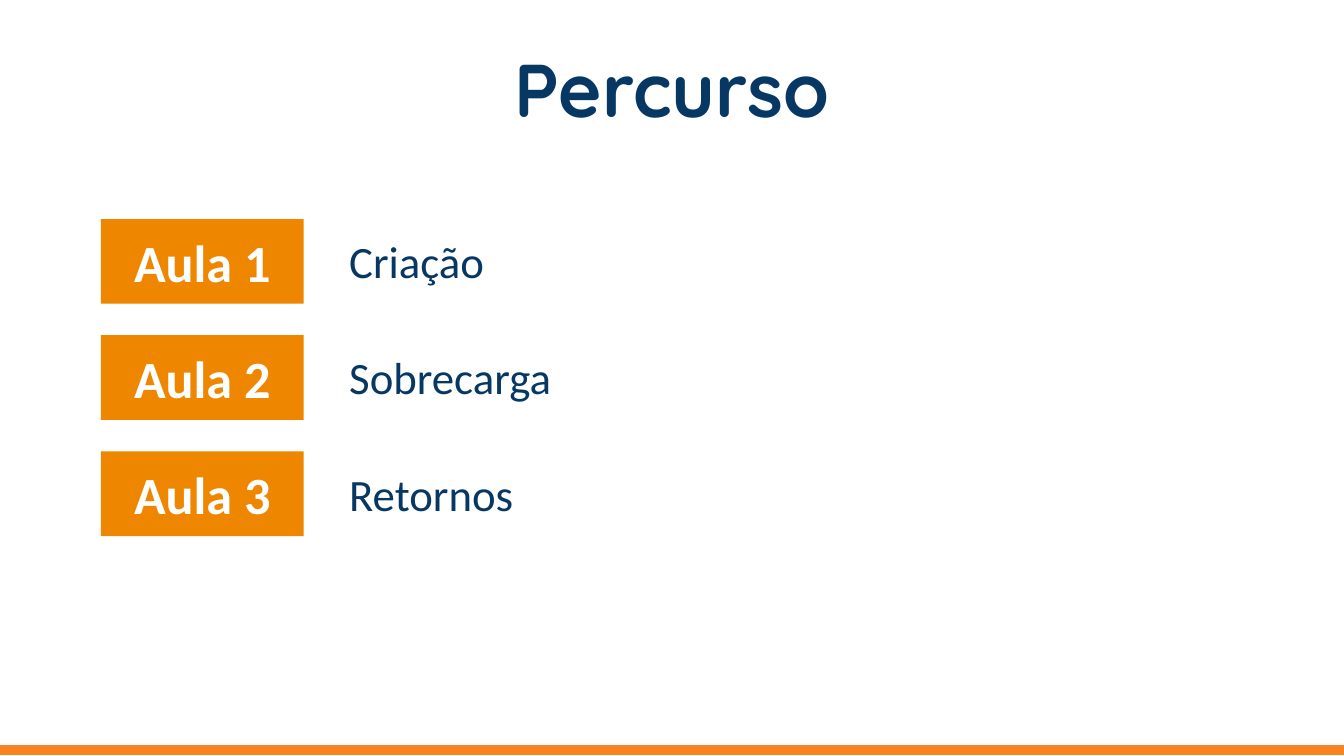
from dataclasses import dataclass

from pptx import Presentation
from pptx.dml.color import RGBColor
from pptx.enum.shapes import MSO_SHAPE
from pptx.enum.text import MSO_ANCHOR, PP_ALIGN
from pptx.util import Inches, Pt

RECT = MSO_SHAPE.RECTANGLE
MIDDLE, TOP = MSO_ANCHOR.MIDDLE, MSO_ANCHOR.TOP
CENTER, LEFT = PP_ALIGN.CENTER, PP_ALIGN.LEFT
WIDTH = 10
HEIGHT = WIDTH * 9 / 16


@dataclass(frozen=True)
class Theme:
    navy: str = "073763"
    orange: str = "EF8600"
    stripe: str = "F78321"
    white: str = "FFFFFF"
    head: str = "Quicksand"
    body: str = "Calibri"
    title: int = 40
    label: int = 28
    topic: int = 24


@dataclass(frozen=True)
class Box:
    left: float
    top: float
    width: float
    height: float

    def place(self) -> list:
        return [Inches(n) for n in (self.left, self.top, self.width, self.height)]


@dataclass(frozen=True)
class Style:
    font: str
    size: int
    color: str
    bold: bool = False
    align: int = CENTER
    anchor: int = MIDDLE
    inset: float = 0.1
    hang: float = 0


@dataclass(frozen=True)
class Lesson:
    label: str
    topic: str
    width: float


THEME = Theme()
TITLE = Style(THEME.head, THEME.title, THEME.navy, bold=True)
LABEL = Style(THEME.body, THEME.label, THEME.white, bold=True)
TOPIC = Style(THEME.body, THEME.topic, THEME.navy, align=LEFT, anchor=TOP,
              inset=0.05, hang=0.5)

LESSONS = [
    Lesson("Aula 1", "Criação", 5.4),
    Lesson("Aula 2", "Sobrecarga", 3.42),
    Lesson("Aula 3", "Retornos", 4.86),
]
FIRST, LAST = 1.63, 3.36
PITCH = (LAST - FIRST) / (len(LESSONS) - 1)


def write(shape, text: str, style: Style) -> None:
    frame = shape.text_frame
    formats = {
        "word_wrap": True,
        "vertical_anchor": style.anchor,
        "margin_left": Inches(0.1),
        "margin_right": Inches(0.1),
        "margin_top": Inches(style.inset),
        "margin_bottom": Inches(style.inset),
    }
    for name, value in formats.items():
        setattr(frame, name, value)
    para = frame.paragraphs[0]
    para.alignment = style.align
    if style.hang:
        props = para._p.get_or_add_pPr()
        props.set("marL", str(Inches(style.hang)))
        props.set("indent", str(-Inches(style.hang)))
    run = para.add_run()
    run.text = text
    formats = {"name": style.font, "size": Pt(style.size), "bold": style.bold}
    for name, value in formats.items():
        setattr(run.font, name, value)
    run.font.color.rgb = RGBColor.from_string(style.color)


def add_text(slide, box: Box, text: str, style: Style) -> None:
    write(slide.shapes.add_textbox(*box.place()), text, style)


def add_block(slide, box: Box, fill: str, line: str = ""):
    """Draw a flat rectangle, outlined only when a line colour is given."""
    block = slide.shapes.add_shape(RECT, *box.place())
    block.shadow.inherit = False
    block.fill.solid()
    block.fill.fore_color.rgb = RGBColor.from_string(fill)
    if line:
        block.line.color.rgb = RGBColor.from_string(line)
        block.line.width = Pt(0.75)
    else:
        block.line.fill.background()
    return block


def add_lesson(slide, lesson: Lesson, top: float) -> None:
    block = add_block(slide, Box(0.75, top, 1.51, 0.63), THEME.orange)
    write(block, lesson.label, LABEL)
    add_text(slide, Box(2.5, top + 0.06, lesson.width, 0.5), lesson.topic, TOPIC)


def main() -> None:
    deck = Presentation()
    deck.slide_width, deck.slide_height = Inches(WIDTH), Inches(HEIGHT)
    slide = deck.slides.add_slide(deck.slide_layouts[6])
    fill = slide.background.fill
    fill.solid()
    fill.fore_color.rgb = RGBColor.from_string(THEME.white)

    add_text(slide, Box(0.34, 0.33, 9.32, 0.65), "Percurso", TITLE)
    add_block(slide, Box(0, 5.55, WIDTH, 0.06), THEME.stripe, THEME.stripe)
    for row, lesson in enumerate(LESSONS):
        add_lesson(slide, lesson, FIRST + row * PITCH)

    deck.save("out.pptx")


if __name__ == "__main__":
    main()
